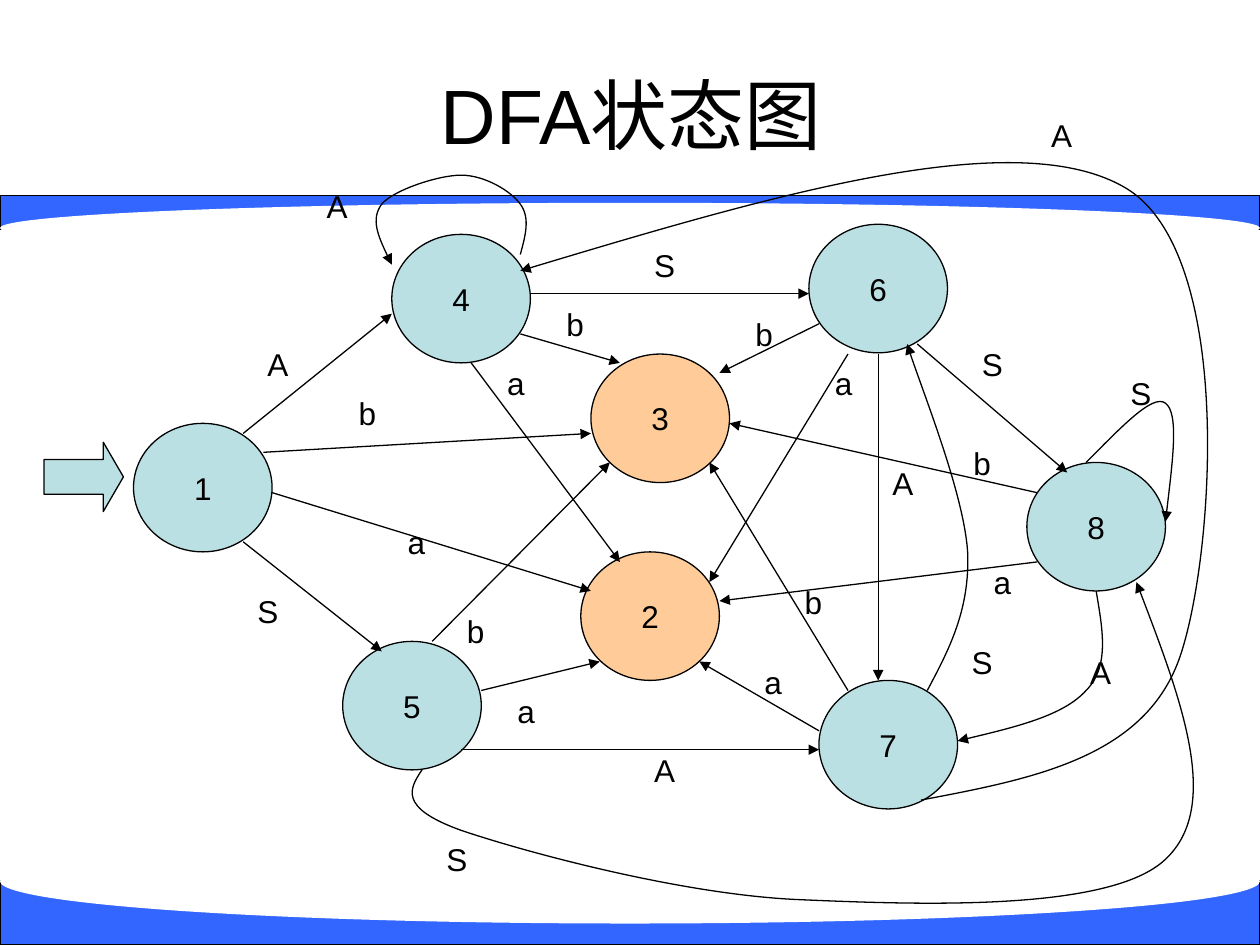
from lxml.etree import SubElement
from pptx import Presentation
from pptx.dml.color import RGBColor
from pptx.enum.shapes import MSO_CONNECTOR, MSO_SHAPE
from pptx.enum.text import MSO_ANCHOR, PP_ALIGN
from pptx.oxml.ns import qn
from pptx.util import Inches, Pt

BLACK = RGBColor(0x00, 0x00, 0x00)
WHITE = RGBColor(0xFF, 0xFF, 0xFF)
BLUE = RGBColor(0x33, 0x66, 0xFF)
TEAL = RGBColor(0xBB, 0xE0, 0xE3)
ORANGE = RGBColor(0xFF, 0xCC, 0x99)
FONT = "Arial"
LINE_W = Pt(0.75)

TITLE = "DFA状态图"
STATE_SIZE = (1.1, 1.02)
LABEL_SIZE = (0.39, 0.32)

# Background bands: blue bar, then the white ellipse that curves its edge
BANDS = [
    ((0, 1.55, 10, 0.27), (0, 1.61, 10, 0.4)),
    ((0, 6.99, 10, 0.51), (0, 6.66, 10, 0.67)),
]

# State name, left, top, fill
STATES = [
    ("1", 1.06, 3.36, TEAL),
    ("3", 4.69, 2.81, ORANGE),
    ("4", 3.11, 1.86, TEAL),
    ("2", 4.61, 4.38, ORANGE),
    ("6", 6.42, 1.78, TEAL),
    ("7", 6.5, 5.4, TEAL),
    ("8", 8.15, 3.67, TEAL),
    ("5", 2.72, 5.09, TEAL),
]

# Straight transitions: start, end, input symbol, label corner
STRAIGHT = [
    ((2.16, 3.91), (4.69, 4.69), "a", (3.11, 4.14)),
    ((2.09, 3.59), (4.69, 3.44), "b", (2.72, 3.12)),
    ((1.93, 3.44), (3.11, 2.49), "A", (2.01, 2.73)),
    ((1.93, 4.3), (3.03, 5.17), "S", (1.93, 4.69)),
    ((4.13, 2.65), (4.92, 2.88), "b", (4.37, 2.41)),
    ((3.74, 2.88), (4.92, 4.46), "a", (3.9, 2.88)),
    ((3.82, 5.48), (4.76, 5.25), "a", (3.98, 5.48)),
    ((3.43, 5.09), (4.84, 3.67), "b", (3.58, 4.85)),
    ((4.21, 2.33), (6.42, 2.33), "S", (5.08, 1.94)),
    ((3.66, 5.95), (6.5, 5.95), "A", (5.08, 5.95)),
    ((6.5, 2.57), (5.71, 2.96), "b", (5.87, 2.49)),
    ((6.73, 2.81), (5.63, 4.62), "a", (6.5, 2.88)),
    ((6.97, 2.81), (6.97, 5.4), "A", (6.97, 3.67)),
    ((7.28, 2.73), (8.47, 3.75), "S", (7.68, 2.73)),
    ((6.5, 5.8), (5.55, 5.25), "a", (5.94, 5.25)),
    ((6.73, 5.48), (5.63, 3.67), "b", (6.26, 4.62)),
    ((8.23, 4.46), (5.71, 4.77), "a", (7.76, 4.46)),
    ((8.23, 3.91), (5.79, 3.36), "b", (7.6, 3.51)),
]

# Curved transitions: Bezier points (start, then three per segment), symbol, label corner
CURVED = [
    ([(4.13, 2.02), (4.17, 1.87), (4.21, 1.73), (4.13, 1.62),
      (4.06, 1.52), (3.85, 1.39), (3.66, 1.39),
      (3.48, 1.39), (3.12, 1.51), (3.03, 1.62),
      (2.94, 1.74), (3.02, 1.92), (3.11, 2.1)], "A", (2.48, 1.47)),
    ([(3.35, 6.11), (3.25, 6.26), (3.16, 6.41), (3.66, 6.59),
      (4.16, 6.76), (5.41, 7.1), (6.34, 7.14),
      (7.27, 7.18), (8.81, 7.24), (9.25, 6.82),
      (9.7, 6.4), (9.36, 5.51), (9.02, 4.62)], "S", (3.43, 6.66)),
    ([(7.36, 5.48), (7.53, 5.16), (7.7, 4.84), (7.68, 4.38),
      (7.65, 3.92), (7.28, 3), (7.2, 2.73)], "S", (7.6, 5.09)),
    ([(7.31, 6.35), (8.21, 6.18), (9.1, 6.01), (9.37, 5.2),
      (9.64, 4.39), (9.8, 2), (8.93, 1.49),
      (8.06, 0.98), (6.09, 1.56), (4.13, 2.15)], "A", (8.23, 0.91)),
    ([(8.7, 4.69), (8.75, 4.99), (8.81, 5.29), (8.62, 5.48),
      (8.44, 5.68), (8.02, 5.78), (7.6, 5.88)], "A", (8.54, 5.17)),
    ([(8.62, 3.67), (8.89, 3.4), (9.15, 3.12), (9.25, 3.2),
      (9.36, 3.28), (9.3, 3.71), (9.25, 4.14)], "S", (8.86, 2.96)),
]


def inches(values):
    return [Inches(v) for v in values]


def write(sp, text, size=18, wrap=False):
    tf = sp.text_frame
    tf.word_wrap = wrap
    tf.vertical_anchor = MSO_ANCHOR.MIDDLE
    p = tf.paragraphs[0]
    p.alignment = PP_ALIGN.CENTER
    r = p.add_run()
    r.text = text
    r.font.name, r.font.size = FONT, Pt(size)
    r.font.color.rgb = BLACK


def outline(sp):
    sp.line.width = LINE_W
    sp.line.color.rgb = BLACK


def add_filled(s, kind, box, fill, outlined=True):
    sp = s.shapes.add_shape(kind, *inches(box))
    sp.shadow.inherit = False
    sp.fill.solid()
    sp.fill.fore_color.rgb = fill
    if outlined:
        outline(sp)
    else:
        sp.line.fill.background()
    return sp


def add_arrowhead(sp):
    outline(sp)
    ln = sp._element.spPr.find(qn("a:ln"))
    SubElement(ln, qn("a:tailEnd"), type="triangle")


def add_straight(s, start, end):
    sp = s.shapes.add_connector(MSO_CONNECTOR.STRAIGHT, *inches(start + end))
    add_arrowhead(sp)
    SubElement(sp._element.spPr, qn("a:effectLst"))


def add_curve(s, points):
    start, *rest = [inches(pt) for pt in points]
    builder = s.shapes.build_freeform(*start)
    builder.add_line_segments(rest, close=False)
    sp = builder.convert_to_shape()
    sp.shadow.inherit = False
    sp.fill.background()
    add_arrowhead(sp)
    # Join each three line segments into one cubic Bezier
    segments = list(sp._element.iter(qn("a:lnTo")))
    outline_path = segments[0].getparent()
    for i in range(0, len(segments), 3):
        bezier = SubElement(outline_path, qn("a:cubicBezTo"))
        for segment in segments[i:i + 3]:
            bezier.append(segment[0])
            outline_path.remove(segment)


def add_label(s, text, corner):
    write(s.shapes.add_textbox(*inches(corner + LABEL_SIZE)), text)


prs = Presentation()
prs.slide_width, prs.slide_height = Inches(10), Inches(7.5)
s = prs.slides.add_slide(prs.slide_layouts[5])

# Title
title = s.shapes.title
title.left, title.top, title.width, title.height = inches((0.51, 0.28, 9, 1.25))
write(title, TITLE, 44, wrap=True)

# Background bands
for bar, curve in BANDS:
    add_filled(s, MSO_SHAPE.RECTANGLE, bar, BLUE)
    add_filled(s, MSO_SHAPE.OVAL, curve, WHITE, outlined=False)

# States and the start arrow
for name, left, top, fill in STATES:
    write(add_filled(s, MSO_SHAPE.OVAL, (left, top) + STATE_SIZE, fill), name)
entry = add_filled(s, MSO_SHAPE.RIGHT_ARROW, (0.35, 3.51, 0.63, 0.55), TEAL)
entry.adjustments[0], entry.adjustments[1] = 0.5, 0.29

# Transitions
for start, end, symbol, corner in STRAIGHT:
    add_straight(s, start, end)
    add_label(s, symbol, corner)
for points, symbol, corner in CURVED:
    add_curve(s, points)
    add_label(s, symbol, corner)

prs.save("out.pptx")
